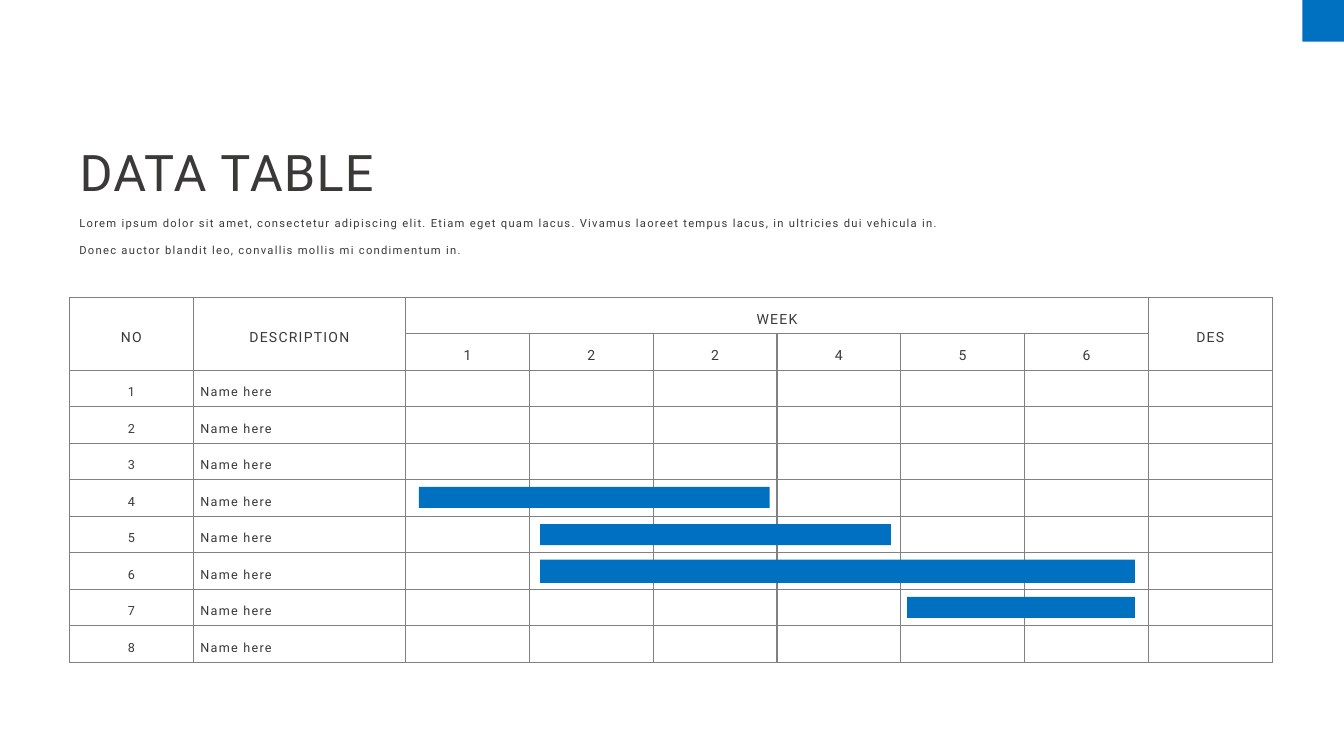
from dataclasses import dataclass

from lxml import etree
from pptx import Presentation
from pptx.dml.color import RGBColor
from pptx.enum.shapes import MSO_SHAPE
from pptx.enum.text import MSO_ANCHOR, PP_ALIGN
from pptx.oxml.ns import qn
from pptx.util import Cm, Pt

RECT = MSO_SHAPE.RECTANGLE
TOP, MIDDLE = MSO_ANCHOR.TOP, MSO_ANCHOR.MIDDLE
LEFT, CENTER = PP_ALIGN.LEFT, PP_ALIGN.CENTER

FONT = "Roboto"
BLUE, DARK, GRID = "0070C0", "3B3838", "818181"
TITLE_ONLY = 5
WEEKS = ["1", "2", "2", "4", "5", "6"]
FIRST_WEEK = 2
DES = FIRST_WEEK + len(WEEKS)
TASKS = 8
HEADER_ROWS = 2
COL_W, DESCRIPTION_W, ROW_H = 3.12, 5.35, 0.92
LOREM = (
    "Lorem ipsum dolor sit amet, consectetur adipiscing elit. Etiam eget quam lacus. "
    "Vivamus laoreet tempus lacus, in ultricies dui vehicula in. "
    "Donec auctor blandit leo, convallis mollis mi condimentum in."
)


@dataclass
class Block:
    left: float
    top: float
    width: float
    height: float


@dataclass
class Header:
    text: str
    col: int
    last_row: int
    last_col: int


BLOCKS = [
    Block(10.56, 12.27, 8.84, 0.53),
    Block(13.61, 14.1, 14.99, 0.59),
    Block(13.61, 13.21, 8.84, 0.53),
    Block(22.86, 15.04, 5.74, 0.53),
    Block(32.82, 0, 1.05, 1.05),
]
HEADERS = [
    Header("NO", 0, 1, 0),
    Header("DESCRIPTION", 1, 1, 1),
    Header("WEEK", FIRST_WEEK, 0, DES - 1),
    Header("DES", DES, 1, DES),
]


def rgb(value: str) -> RGBColor:
    return RGBColor.from_string(value)


def write(tf, text: str, size: float, align, spacing: float) -> None:
    tf.text = text
    p = tf.paragraphs[0]
    p.alignment = align
    p.line_spacing = spacing
    for r in p.runs:
        r.font.size = Pt(size)
        r.font.name = FONT
        r.font.color.rgb = rgb(DARK)
        r.font._element.set("spc", "90")


def add_block(s, block: Block) -> None:
    sp = s.shapes.add_shape(
        RECT, Cm(block.left), Cm(block.top), Cm(block.width), Cm(block.height)
    )
    sp.shadow.inherit = False
    sp.fill.solid()
    sp.fill.fore_color.rgb = rgb(BLUE)
    sp.line.fill.background()


def add_borders(cell) -> None:
    tc_pr = cell._tc.get_or_add_tcPr()
    for i, side in enumerate(("a:lnL", "a:lnR", "a:lnT", "a:lnB")):
        ln = etree.Element(qn(side), w=str(Pt(1)))
        fill = etree.SubElement(ln, qn("a:solidFill"))
        etree.SubElement(fill, qn("a:srgbClr"), val=GRID)
        tc_pr.insert(i, ln)


def format_cell(cell) -> None:
    cell.fill.background()
    cell.vertical_anchor = MIDDLE
    cell.margin_left = cell.margin_right = Cm(0.18)
    cell.margin_top = cell.margin_bottom = 0
    add_borders(cell)


def add_schedule(s) -> None:
    rows, cols = HEADER_ROWS + TASKS, DES + 1
    width = COL_W * (cols - 1) + DESCRIPTION_W
    table = s.shapes.add_table(
        rows, cols, Cm(1.75), Cm(7.49), Cm(width), Cm(ROW_H * rows)
    ).table
    table.first_row = table.horz_banding = False
    for i, col in enumerate(table.columns):
        col.width = Cm(DESCRIPTION_W if i == 1 else COL_W)
    for row in table.rows:
        row.height = Cm(ROW_H)
        for cell in row.cells:
            format_cell(cell)
    for h in HEADERS:
        cell = table.cell(0, h.col)
        cell.merge(table.cell(h.last_row, h.last_col))
        cell.margin_left = cell.margin_right = Cm(0.23)
        cell.margin_top = cell.margin_bottom = Cm(0.13)
        write(cell.text_frame, h.text, 10, CENTER, 1.5)
    for i, week in enumerate(WEEKS):
        write(table.cell(1, FIRST_WEEK + i).text_frame, week, 10, CENTER, 1.5)
    for i in range(TASKS):
        row = HEADER_ROWS + i
        write(table.cell(row, 0).text_frame, str(i + 1), 9, CENTER, 1.5)
        write(table.cell(row, 1).text_frame, "Name here", 9, LEFT, 1.5)


def place_text(sp, area: Block, text: str, size: float, spacing: float) -> None:
    sp.left, sp.top = Cm(area.left), Cm(area.top)
    sp.width, sp.height = Cm(area.width), Cm(area.height)
    tf = sp.text_frame
    tf.word_wrap = True
    tf.vertical_anchor = TOP
    write(tf, text, size, LEFT, spacing)


def main() -> None:
    prs = Presentation()
    prs.slide_width, prs.slide_height = Cm(33.87), Cm(19.05)
    s = prs.slides.add_slide(prs.slide_layouts[TITLE_ONLY])
    add_schedule(s)
    for block in BLOCKS:
        add_block(s, block)
    place_text(s.shapes.title, Block(1.75, 2.67, 10.95, 2.36), "DATA TABLE", 36, 1.5)
    intro = s.shapes.add_textbox(0, 0, 0, 0)
    place_text(intro, Block(1.75, 5, 22.63, 1.55), LOREM, 8, 2)
    prs.save("out.pptx")


if __name__ == "__main__":
    main()
